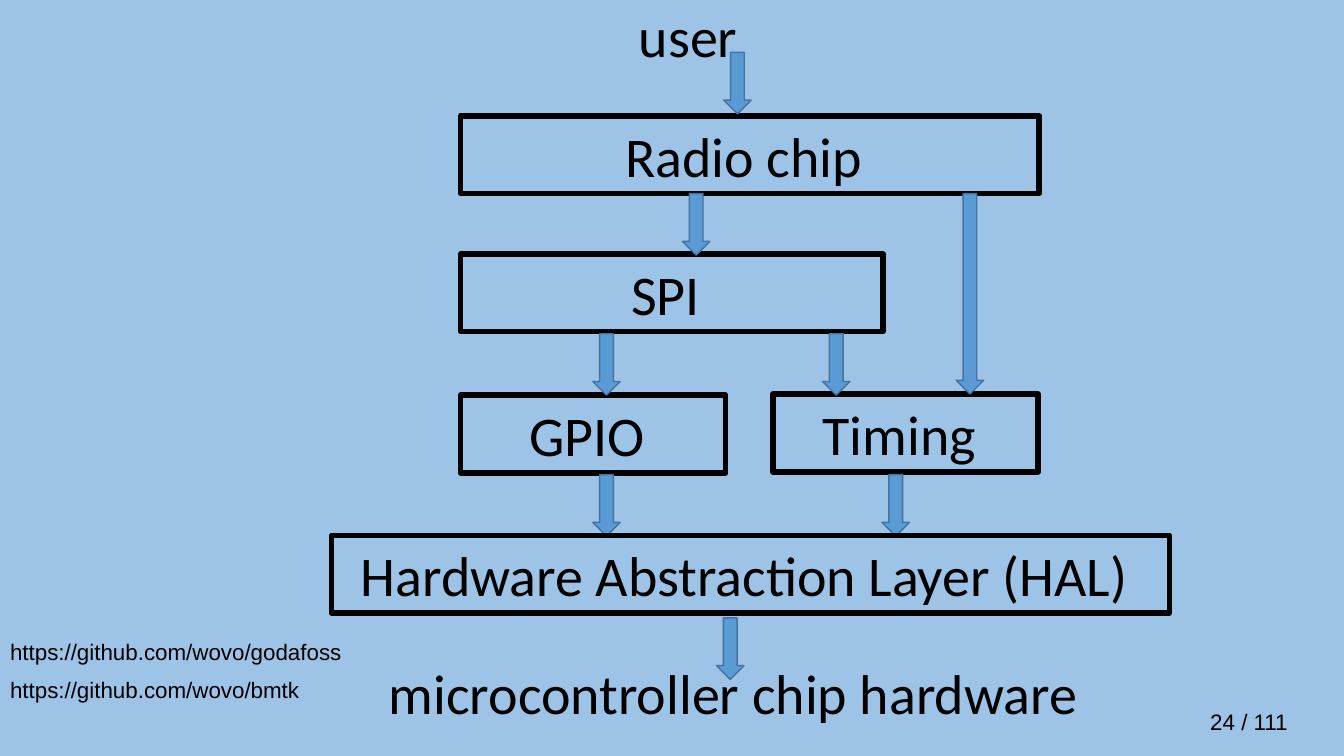
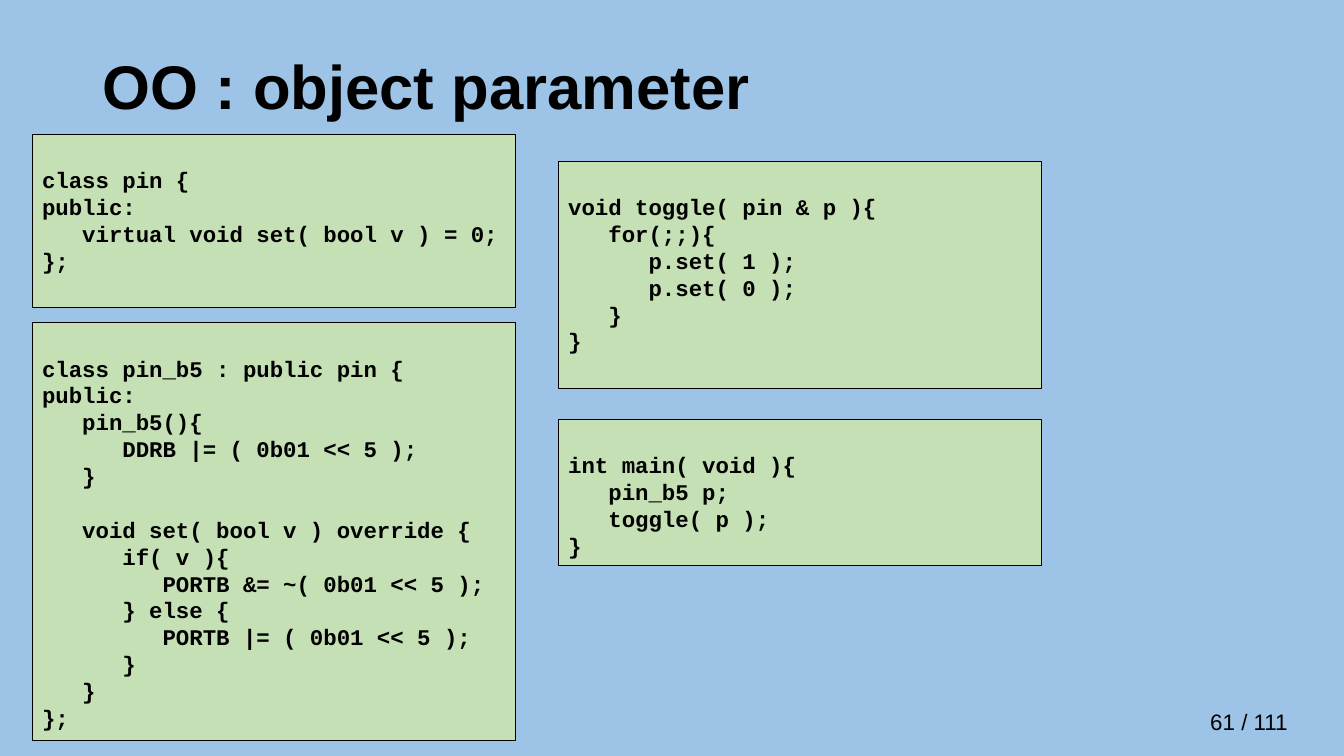
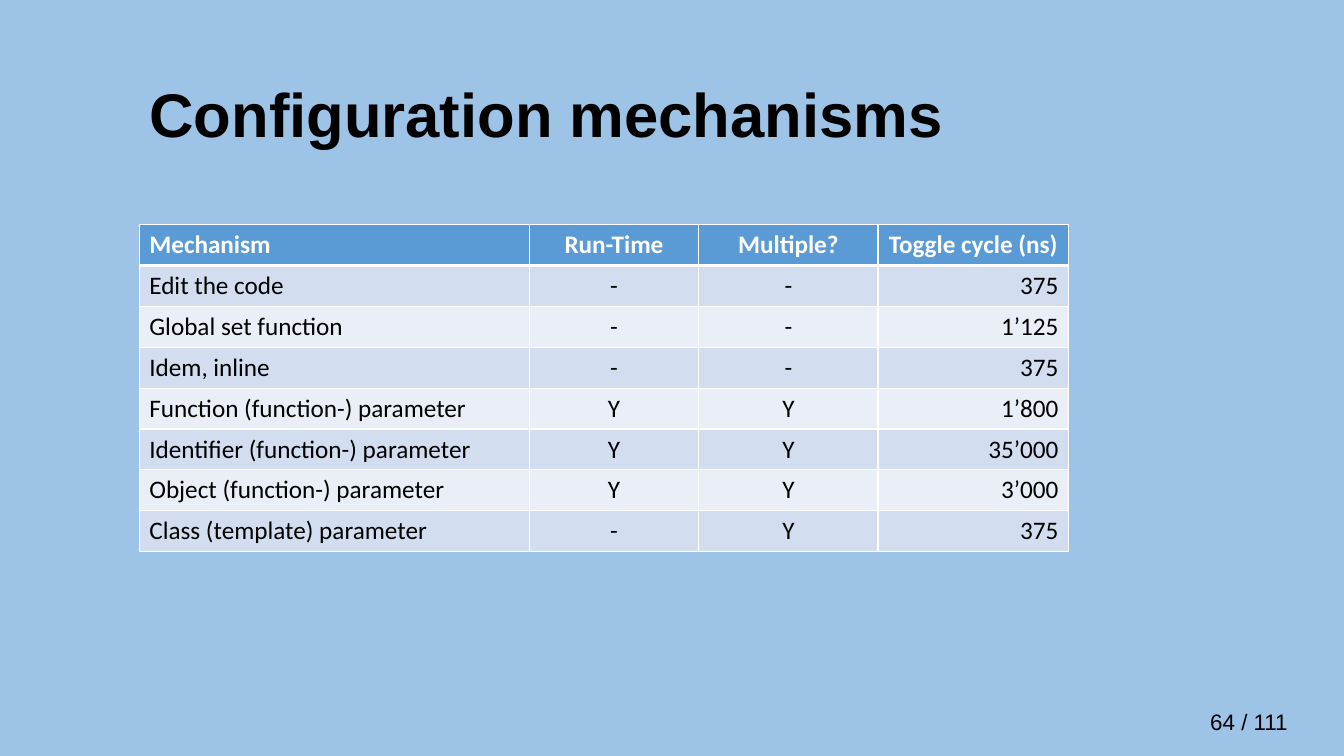
"""Build three lecture slides: library layers, object parameter, mechanisms."""
from pptx import Presentation, oxml
from pptx import util as u
from pptx.dml import color as dml
from pptx.enum import shapes, text
from pptx.oxml import ns

Cm, Pt = u.Cm, u.Pt
LEFT, CENTER, RIGHT = (text.PP_ALIGN.LEFT, text.PP_ALIGN.CENTER,
                       text.PP_ALIGN.RIGHT)

PIN = """class pin {
public:
   virtual void set( bool v ) = 0;
};"""

PIN_B5 = """class pin_b5 : public pin {
public:
   pin_b5(){
      DDRB |= ( 0b01 << 5 );
   }
   
   void set( bool v ) override {
      if( v ){
         PORTB &= ~( 0b01 << 5 );
      } else {
         PORTB |= ( 0b01 << 5 );
      }
   }
};"""

TOGGLE = """void toggle( pin & p ){
   for(;;){
      p.set( 1 );
      p.set( 0 );
   }
}"""

MAIN = """int main( void ){
   pin_b5 p;
   toggle( p );
}"""

MECHANISMS = [
    ("Mechanism", "Run-Time", "Multiple?", "Toggle cycle (ns)"),
    ("Edit the code", "-", "-", "375"),
    ("Global set function", "-", "-", "1’125"),
    ("Idem, inline", "-", "-", "375"),
    ("Function (function-) parameter", "Y", "Y", "1’800"),
    ("Identifier (function-) parameter", "Y", "Y", "35’000"),
    ("Object (function-) parameter", "Y", "Y", "3’000"),
    ("Class (template) parameter", "-", "Y", "375"),
]


def rgb(hex_code):
    """Turn a hex string into a colour."""
    return dml.RGBColor.from_string(hex_code)


def paint(fill, hex_code):
    """Give a fill one solid colour."""
    fill.solid()
    fill.fore_color.rgb = rgb(hex_code)


def write(frame, content, size=16, font="Arial", color="000000", bold=False,
          align=LEFT, spacing=None, before=0):
    """Fill a text frame with one paragraph per line of content."""
    for index, line in enumerate(content.split("\n")):
        paragraph = frame.add_paragraph() if index else frame.paragraphs[0]
        paragraph.alignment = align
        paragraph.line_spacing = spacing
        paragraph.space_before = Pt(before if index else 0)
        run = paragraph.add_run()
        run.text = line
        run.font.size, run.font.name, run.font.bold = Pt(size), font, bold
        run.font.color.rgb = rgb(color)


class Deck:
    """Hold the shared style and the slide being built."""

    BACKGROUND, BLACK, WHITE = "9DC3E6", "000000", "FFFFFF"
    ARROW, ARROW_EDGE, CODE = "5B9BD5", "43739E", "C5E0B4"
    BANDS = ("EAEFF7", "D2DEEF")
    LABEL = {"size": 40, "font": "Calibri"}
    LABEL_HEIGHT = 1.96
    CONTENT, TITLE_ONLY = 1, 5
    TOTAL = 111

    def __init__(self):
        """Start a wide presentation with a coloured master."""
        self.prs = Presentation()
        self.prs.slide_width, self.prs.slide_height = Cm(33.87), Cm(19.05)
        paint(self.prs.slide_master.background.fill, self.BACKGROUND)
        self.slide = None

    def new_slide(self, number, layout):
        """Add a slide with its page count."""
        self.slide = self.prs.slides.add_slide(self.prs.slide_layouts[layout])
        self.textbox(f"{number} / {self.TOTAL}", 30.25, 17.73, 3.18, 0.94)

    def textbox(self, content, left, top, width, height, **style):
        """Add plain text."""
        box = self.slide.shapes.add_textbox(Cm(left), Cm(top), Cm(width),
                                            Cm(height))
        box.text_frame.word_wrap = True
        write(box.text_frame, content, **style)

    def placeholder(self, holder, content, left, top, width, height, anchor,
                    **style):
        """Move and fill a template placeholder."""
        holder.left, holder.top = Cm(left), Cm(top)
        holder.width, holder.height = Cm(width), Cm(height)
        frame = holder.text_frame
        frame.auto_size = text.MSO_AUTO_SIZE.NONE
        frame.vertical_anchor = anchor
        write(frame, content, spacing=0.9, **style)

    def title(self, content, left, top):
        """Fill the title."""
        self.placeholder(self.slide.shapes.title, content, left, top, 29.21,
                         3.68, text.MSO_ANCHOR.MIDDLE, size=44, bold=True)

    def links(self, content, left, top, width, height):
        """Fill the body with an unbulleted list on a slide without title."""
        heading, body = self.slide.placeholders
        heading.element.getparent().remove(heading.element)
        self.placeholder(body, content, left, top, width, height,
                         text.MSO_ANCHOR.TOP, before=10)
        for paragraph in body.text_frame.paragraphs:
            properties = paragraph._p.get_or_add_pPr()
            properties.set("marL", "0")
            properties.set("indent", "0")
            properties.append(oxml.parse_xml(
                f"<a:buNone {ns.nsdecls('a')}/>"))

    def shape(self, kind, left, top, width, height, fill, edge, weight):
        """Add a preset shape without shadow."""
        item = self.slide.shapes.add_shape(kind, Cm(left), Cm(top), Cm(width),
                                           Cm(height))
        item.shadow.inherit = False
        if fill:
            paint(item.fill, fill)
        else:
            item.fill.background()
        item.line.color.rgb = rgb(edge)
        item.line.width = Pt(weight)
        return item

    def layer(self, content, left, top, width):
        """Add an outlined library layer."""
        box = self.shape(shapes.MSO_SHAPE.RECTANGLE, left, top, width,
                         self.LABEL_HEIGHT, None, self.BLACK, 4)
        write(box.text_frame, content, align=CENTER, **self.LABEL)

    def arrow(self, left, top, height=1.55):
        """Add a block arrow pointing down."""
        self.shape(shapes.MSO_SHAPE.DOWN_ARROW, left, top, 0.69, height,
                   self.ARROW, self.ARROW_EDGE, 1)

    def code(self, content, left, top, height):
        """Add a code listing."""
        box = self.shape(shapes.MSO_SHAPE.RECTANGLE, left, top, 12.19, height,
                         self.CODE, self.BLACK, 0.75)
        frame = box.text_frame
        frame.vertical_anchor = text.MSO_ANCHOR.TOP
        frame.margin_top = Cm(0.81)
        write(frame, content, font="Courier New", bold=True,
              spacing=Pt(19.2))

    def border(self, cell, side, weight):
        """Draw one white cell edge."""
        cell._tc.get_or_add_tcPr().append(oxml.parse_xml(
            f'<a:{side} {ns.nsdecls("a")} w="{Pt(weight)}"><a:solidFill>'
            f'<a:srgbClr val="{self.WHITE}"/></a:solidFill></a:{side}>'))

    def table(self, rows, left, top, widths, row_height, aligns):
        """Add a banded table with a header row."""
        grid = self.slide.shapes.add_table(
            len(rows), len(widths), Cm(left), Cm(top), Cm(sum(widths)),
            Cm(row_height * len(rows))).table
        for column, width in zip(grid.columns, widths):
            column.width = Cm(width)
        for r, row in enumerate(rows):
            grid.rows[r].height = Cm(row_height)
            header = r == 0
            for c, content in enumerate(row):
                cell = grid.cell(r, c)
                for side in ("lnL", "lnR", "lnT", "lnB"):
                    thick = (r, side) in ((0, "lnB"), (1, "lnT"))
                    self.border(cell, side, 3 if thick else 1)
                paint(cell.fill, self.ARROW if header else self.BANDS[r % 2])
                write(cell.text_frame, content, size=18, font="Calibri",
                      bold=header, color=self.WHITE if header else self.BLACK,
                      align=CENTER if header and c else aligns[c])


def main():
    """Build and save the slides."""
    deck = Deck()

    deck.new_slide(24, Deck.CONTENT)
    deck.links("https://github.com/wovo/godafoss\n"
               "https://github.com/wovo/bmtk", 0, 16.03, 26.82, 3)
    deck.textbox("user", 15.85, -0.08, 3.2, Deck.LABEL_HEIGHT, **Deck.LABEL)
    deck.textbox("microcontroller chip hardware", 9.55, 16.48, 18.03,
                 Deck.LABEL_HEIGHT, **Deck.LABEL)
    for layer in (("Radio chip ", 11.61, 2.92, 14.58),
                  ("SPI ", 11.61, 6.4, 10.64),
                  ("GPIO ", 11.61, 9.96, 6.68),
                  ("Timing ", 19.48, 9.93, 6.68)):
        deck.layer(*layer)
    for arrow in ((18.24, 1.32), (17.2, 4.88), (24.1, 4.88, 5.05),
                  (14.94, 8.41), (20.73, 8.41), (14.94, 11.96),
                  (22.23, 11.96), (18.06, 15.57)):
        deck.arrow(*arrow)
    deck.layer("Hardware Abstraction Layer (HAL) ", 8.36, 13.49, 21.11)

    deck.new_slide(61, Deck.TITLE_ONLY)
    deck.title("OO : object parameter", 2.34, 0.41)
    for listing in ((PIN, 0.81, 3.38, 4.37), (PIN_B5, 0.81, 8.13, 10.52),
                    (TOGGLE, 14.07, 4.06, 5.74), (MAIN, 14.07, 10.57, 3.68)):
        deck.code(*listing)

    deck.new_slide(64, Deck.TITLE_ONLY)
    deck.title("Configuration mechanisms", 3.51, 1.12)
    deck.table(MECHANISMS, 3.51, 5.66, (9.83, 4.27, 4.52, 4.8), 1.03,
               (LEFT, CENTER, CENTER, RIGHT))

    deck.prs.save("out.pptx")


if __name__ == "__main__":
    main()
